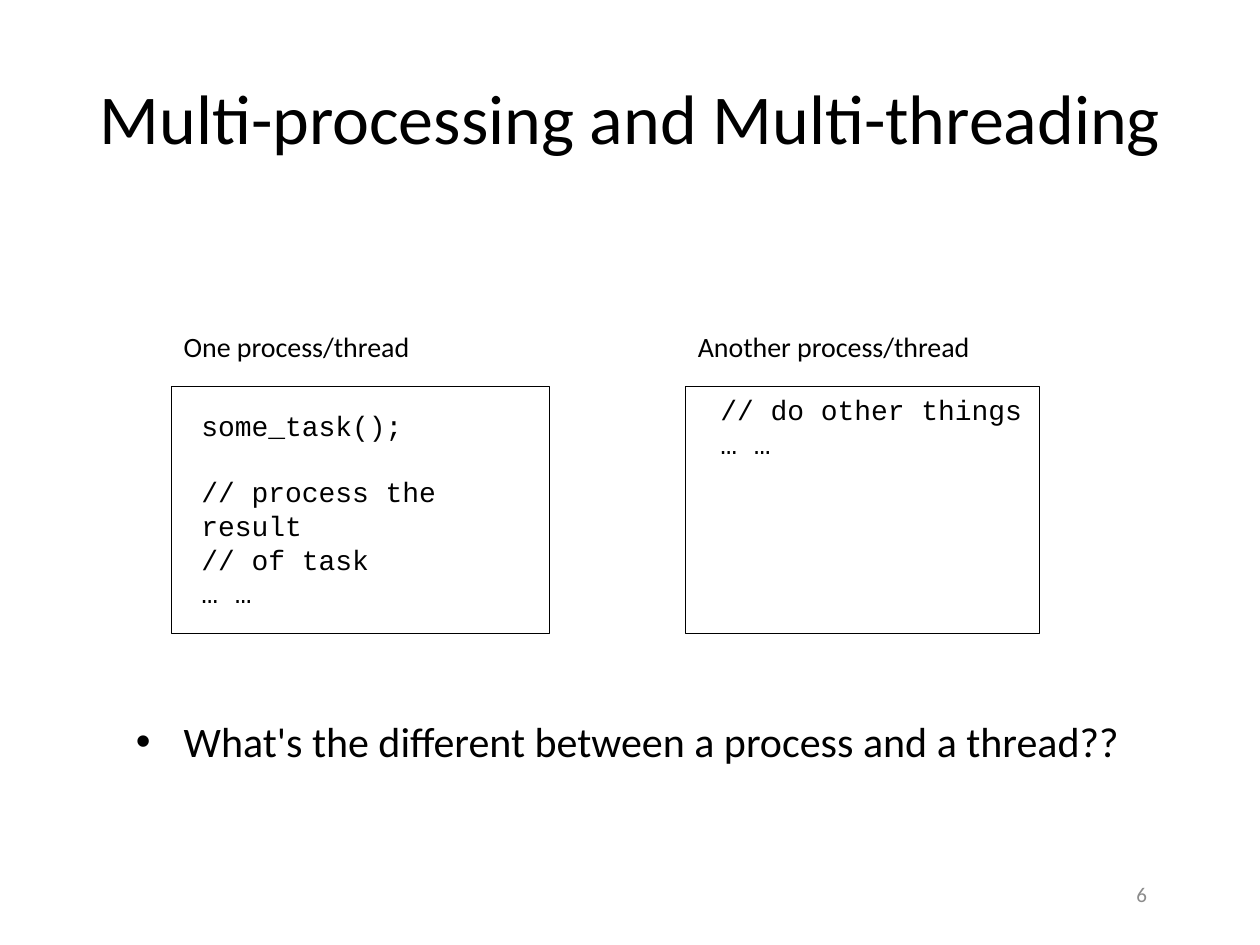
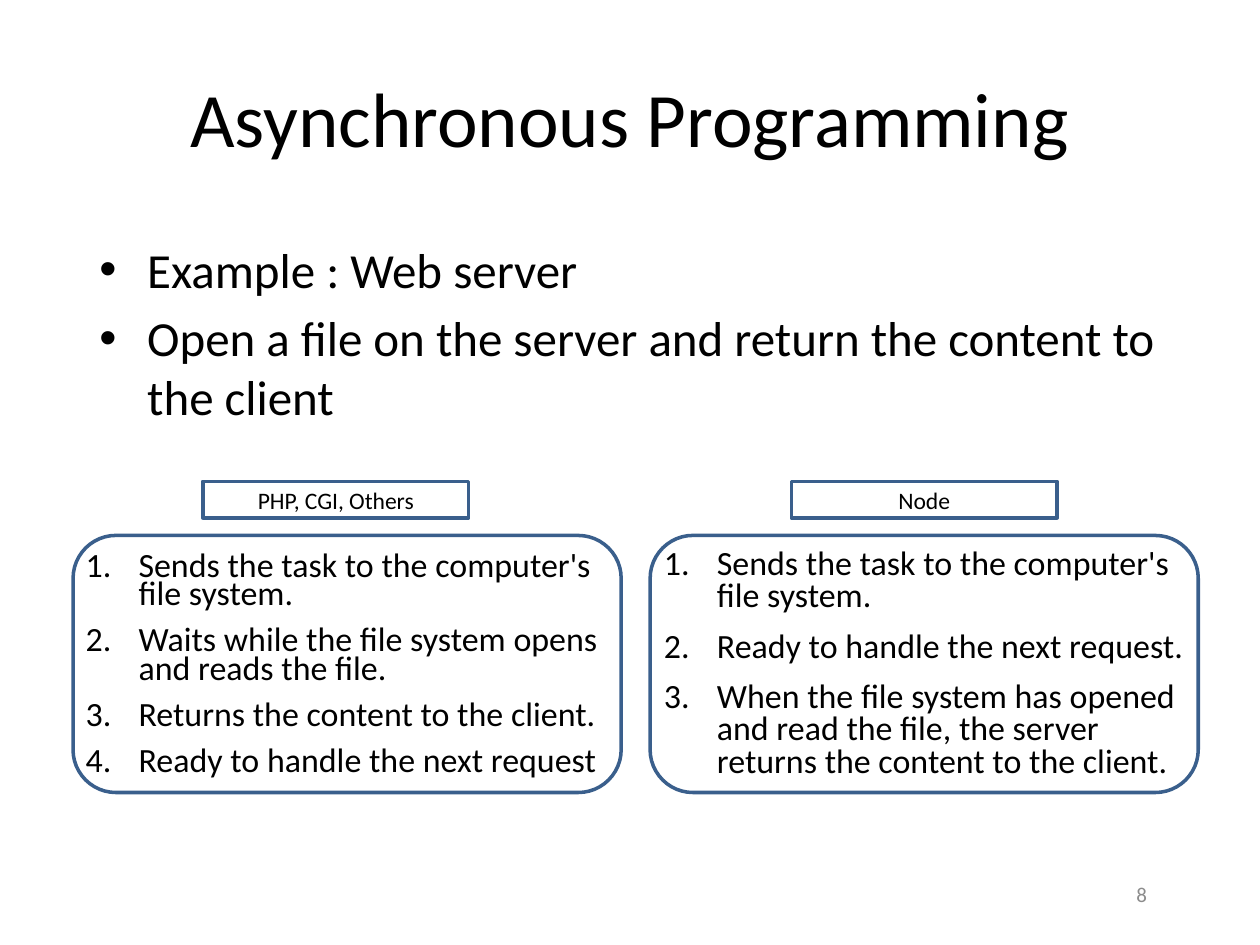
import pptx
import pptx.util
import pptx.dml.color
import pptx.enum.shapes
import pptx.enum.text
import pptx.oxml.ns
from lxml import etree

Inches = pptx.util.Inches
Pt = pptx.util.Pt
RGBColor = pptx.dml.color.RGBColor
Align = pptx.enum.text.PP_ALIGN
Anchor = pptx.enum.text.MSO_ANCHOR
Kind = pptx.enum.shapes.MSO_SHAPE

BLACK = RGBColor(0, 0, 0)
GREY = RGBColor(0x8C, 0x8C, 0x8C)
BLUE = RGBColor(0x3A, 0x5F, 0x8C)
SANS = "Calibri"
MONO = "Courier New"


def fill_text(shape, lines, size, font=SANS, color=BLACK, align=Align.LEFT):
    """Write one paragraph per line and format its runs."""
    frame = shape.text_frame
    frame.text = "\n".join(lines)
    for para in frame.paragraphs:
        para.alignment = align
        for run in para.runs:
            run.font.size = Pt(size)
            run.font.name = font
            run.font.color.rgb = color
    return frame


def add_text(slide, box, lines, size, wrap=True, **style):
    """Add a text box and return its frame."""
    shape = slide.shapes.add_textbox(*map(Inches, box))
    frame = fill_text(shape, lines, size, **style)
    frame.word_wrap = wrap
    return frame


def add_marks(frame, tag, attrs, indent, gap):
    """Give each paragraph a bullet or number, a hanging indent and a gap."""
    for pos, para in enumerate(frame.paragraphs):
        props = para._p.get_or_add_pPr()
        props.set("marL", str(Inches(indent)))
        props.set("indent", str(-Inches(indent)))
        if tag == "a:buChar":
            face = etree.SubElement(props, pptx.oxml.ns.qn("a:buFont"))
            face.set("typeface", "Arial")
        etree.SubElement(props, pptx.oxml.ns.qn(tag), attrs)
        para.space_before = Pt(gap if pos else 0)


def add_points(slide, box, lines, size):
    """Add a bulleted list."""
    frame = add_text(slide, box, lines, size)
    add_marks(frame, "a:buChar", {"char": "•"}, 0.38, size * 0.2)


def add_steps(slide, box, lines, pitch):
    """Add a numbered list with tight line spacing."""
    frame = add_text(slide, box, lines, 19.4)
    frame.margin_left = frame.margin_right = Inches(0.07)
    frame.margin_top = frame.margin_bottom = Inches(0.04)
    add_marks(frame, "a:buAutoNum", {"type": "arabicPeriod"}, 0.42, 10)
    for para in frame.paragraphs:
        para.line_spacing = pitch


def add_frame(slide, kind, box, color, width):
    """Add an unfilled outline shape."""
    shape = slide.shapes.add_shape(kind, *map(Inches, box))
    shape.shadow.inherit = False
    shape.fill.background()
    shape.line.color.rgb = color
    shape.line.width = Pt(width)
    return shape


def add_slide(deck, title, size, number):
    """Add a slide with its title and page number."""
    slide = deck.slides.add_slide(deck.slide_layouts[5])
    head = slide.shapes.title
    head.left, head.top, head.width, head.height = map(
        Inches, (0.5, 0.3, 9, 1.25))
    frame = fill_text(head, [title], size, align=Align.CENTER)
    frame.vertical_anchor = Anchor.MIDDLE
    page = add_text(slide, (8.92, 6.9, 0.58, 0.4), [str(number)], 12,
                    color=GREY)
    page.vertical_anchor = Anchor.MIDDLE
    return slide


def add_thread(slide, left, width, label, box, code, wrap):
    """Add a labelled code panel and return the code frame."""
    frame = add_text(slide, box, code, 16, wrap=wrap, font=MONO)
    add_text(slide, (left, 2.57, 2.4, 0.37), [label], 16, wrap=False)
    add_frame(slide, Kind.RECTANGLE, (left, 3.07, width, 1.96), BLACK, 0.75)
    return frame


def add_server(slide, left, label, label_left, box, steps, pitch):
    """Add a server's label and its numbered steps in a rounded panel."""
    add_steps(slide, box, steps, pitch)
    add_frame(slide, Kind.ROUNDED_RECTANGLE, (left, 4.25, 4.35, 2.04),
              BLUE, 2)
    tag = add_frame(slide, Kind.RECTANGLE, (label_left, 3.82, 2.11, 0.29),
                    BLUE, 2)
    frame = fill_text(tag, [label], 13.5, align=Align.CENTER)
    frame.vertical_anchor = Anchor.MIDDLE


def draw_threads(deck):
    """Build the slide on processes and threads."""
    slide = add_slide(deck, "Multi-processing and Multi-threading", 40, 6)
    add_points(slide, (0.98, 5.63, 8.04, 1),
               ["What's the different between a process and a thread??"], 24)
    task = add_thread(
        slide, 1.36, 3, "One process/thread", (1.5, 3.19, 2.8, 1.72),
        ["some_task();", "// process the result", "// of task", "… …"], True)
    task.paragraphs[1].space_before = Pt(19)
    add_thread(slide, 5.44, 2.81, "Another process/thread",
               (5.62, 3.07, 2.63, 0.64),
               ["// do other things", "… …"], False)


def draw_servers(deck):
    """Build the slide comparing web servers."""
    slide = add_slide(deck, "Asynchronous Programming", 44, 8)
    add_points(slide, (0.69, 1.85, 8.62, 4.04), [
        "Example : Web server",
        "Open a file on the server and return the content to the client",
    ], 28)
    send = "Sends the task to the computer's file system."
    add_server(slide, 0.58, "PHP, CGI, Others", 1.61,
               (0.61, 4.36, 4.44, 1.94), [
                   send,
                   "Waits while the file system opens and reads the file.",
                   "Returns the content to the client.",
                   "Ready to handle the next request",
               ], 0.7)
    add_server(slide, 5.16, "Node", 6.28, (5.2, 4.32, 4.44, 1.94), [
        send,
        "Ready to handle the next request.",
        "When the file system has opened and read the file, "
        "the server returns the content to the client.",
    ], 0.8)


def main():
    """Build and save the slides."""
    deck = pptx.Presentation()
    deck.slide_width, deck.slide_height = Inches(10), Inches(7.5)
    draw_threads(deck)
    draw_servers(deck)
    deck.save("out.pptx")


if __name__ == "__main__":
    main()
